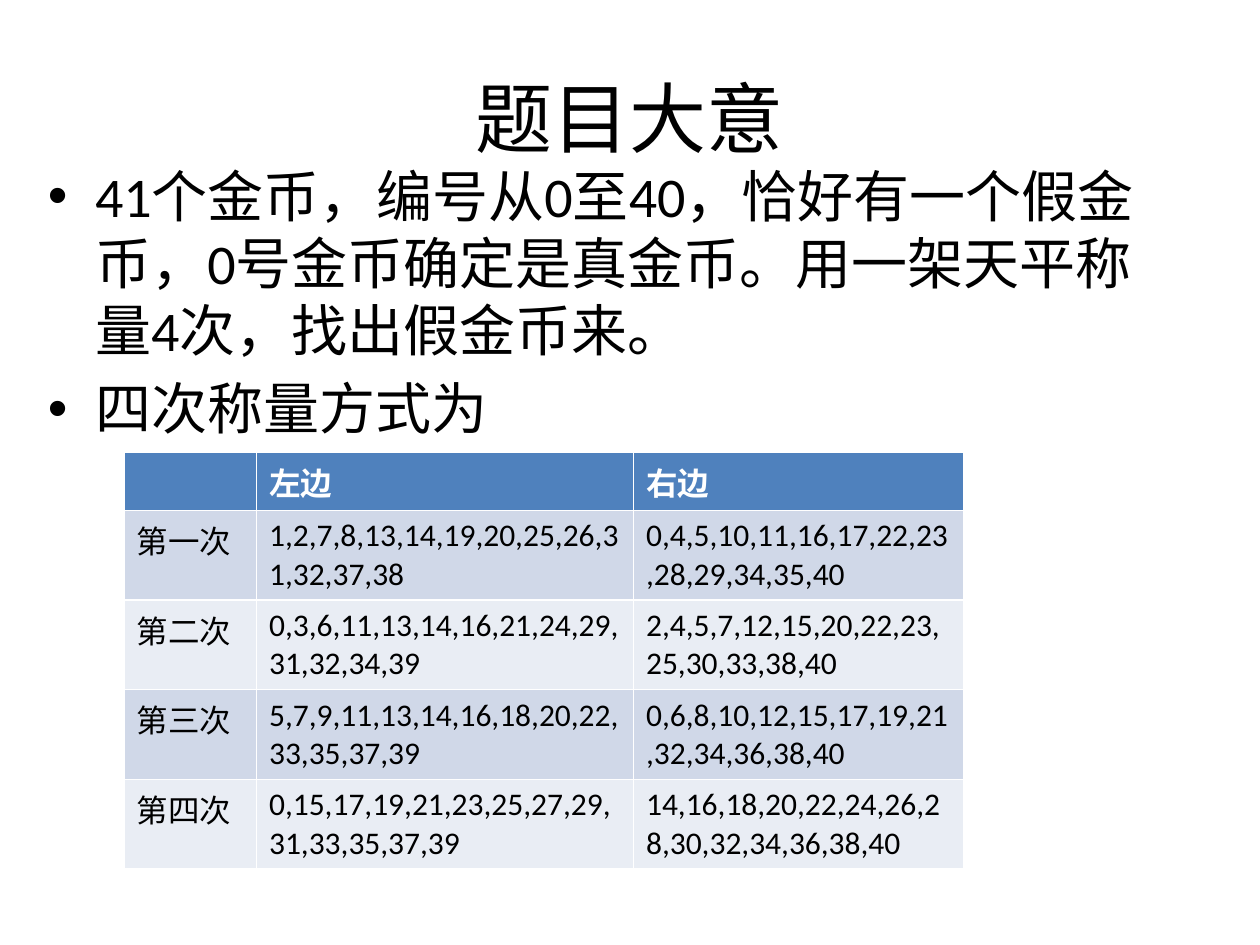
from pptx import Presentation
from pptx import util as u
from pptx.dml import color
from pptx.enum import text

Cm, Pt = u.Cm, u.Pt


def rgb(code):
    return color.RGBColor.from_string(code)


def write(para, words, size, code="000000", bold=False):
    run = para.add_run()
    run.text = words
    font = run.font
    font.name = "Calibri"
    font.size = Pt(size)
    font.bold = bold
    font.color.rgb = rgb(code)


deck = Presentation()
deck.slide_width, deck.slide_height = Cm(25.4), Cm(19.05)
slide = deck.slides.add_slide(deck.slide_layouts[1])

title = slide.shapes.title
title.left, title.top = Cm(1.27), Cm(0.76)
title.width, title.height = Cm(22.86), Cm(3.18)
head = title.text_frame.paragraphs[0]
head.alignment = text.PP_ALIGN.CENTER
write(head, "题目大意", 44)

body = slide.placeholders[1]
body.left, body.top = Cm(0.71), Cm(3.12)
body.width, body.height = Cm(23.27), Cm(16.56)
points = [
    "41个金币，编号从0至40，恰好有一个假金币，0号金币确定是真金币。用一架天平称量4次，找出假金币来。",
    "四次称量方式为",
]
frame = body.text_frame
for i, words in enumerate(points):
    para = frame.add_paragraph() if i else frame.paragraphs[0]
    write(para, words, 32)

rows = [
    ("", "左边", "右边"),
    ("第一次", "1,2,7,8,13,14,19,20,25,26,31,32,37,38",
     "0,4,5,10,11,16,17,22,23,28,29,34,35,40"),
    ("第二次", "0,3,6,11,13,14,16,21,24,29,31,32,34,39",
     "2,4,5,7,12,15,20,22,23,25,30,33,38,40"),
    ("第三次", "5,7,9,11,13,14,16,18,20,22,33,35,37,39",
     "0,6,8,10,12,15,17,19,21,32,34,36,38,40"),
    ("第四次", "0,15,17,19,21,23,25,27,29,31,33,35,37,39",
     "14,16,18,20,22,24,26,28,30,32,34,36,38,40"),
]
widths = [2.67, 7.6, 6.66]
high = 1.03
grid = slide.shapes.add_table(
    len(rows), len(widths), Cm(2.5), Cm(9.12),
    Cm(sum(widths)), Cm(high * len(rows))).table
for col, wide in zip(grid.columns, widths):
    col.width = Cm(wide)
for r, row in enumerate(rows):
    grid.rows[r].height = Cm(high)
    top = r == 0
    fill = "4F81BD" if top else ("E9EDF4", "D0D8E8")[r % 2]
    for c, words in enumerate(row):
        cell = grid.cell(r, c)
        cell.fill.solid()
        cell.fill.fore_color.rgb = rgb(fill)
        if words:
            write(cell.text_frame.paragraphs[0], words, 18,
                  "FFFFFF" if top else "000000", top)

deck.save("out.pptx")
